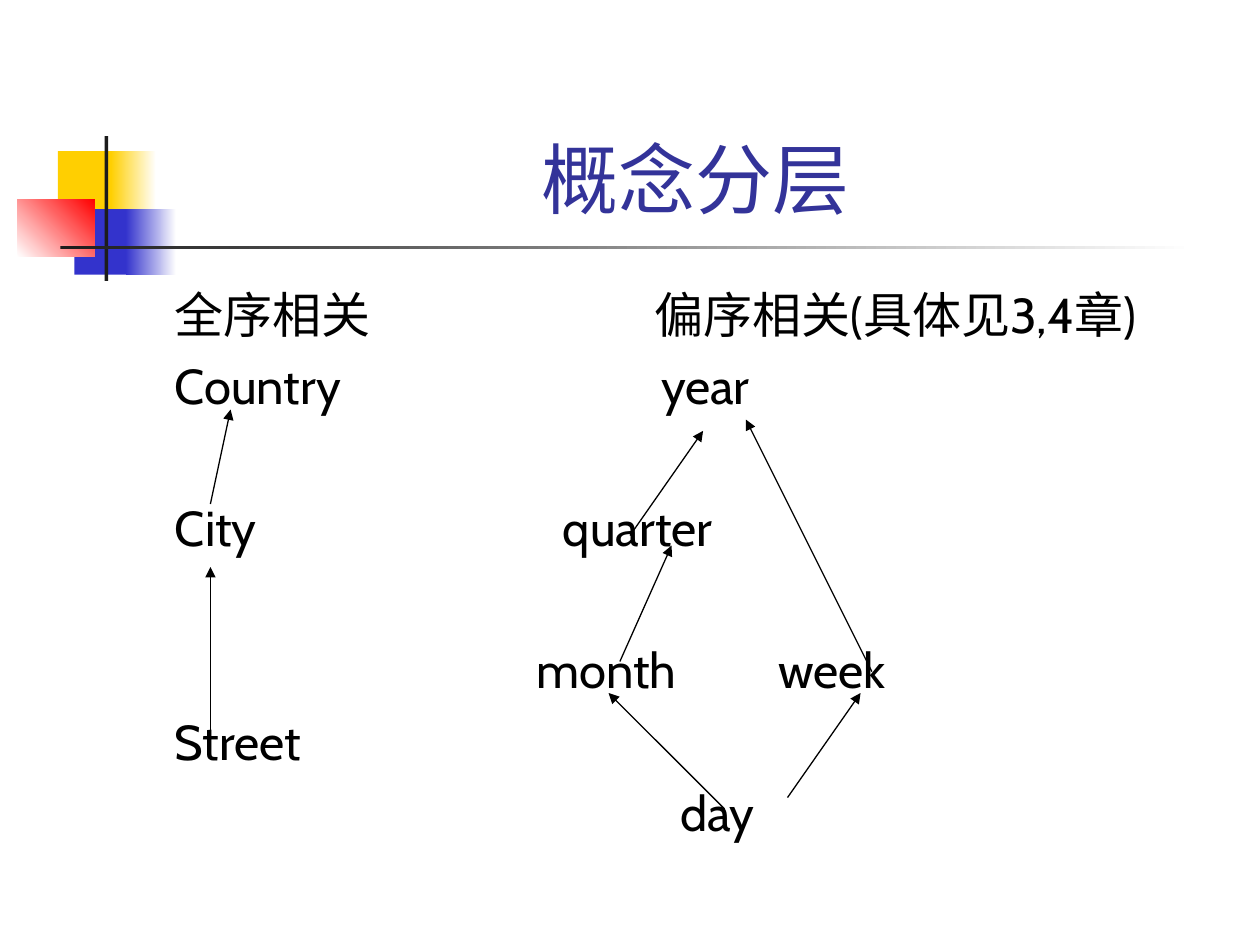
from lxml.etree import SubElement
from pptx import Presentation
from pptx.dml.color import RGBColor
from pptx.enum.shapes import MSO_CONNECTOR, MSO_SHAPE
from pptx.enum.text import MSO_ANCHOR, PP_ALIGN
from pptx.oxml.ns import qn
from pptx.util import Inches, Pt

YELLOW, BLUE, RED = "FFCF01", "3333CC", "FF0000"
DARK, WHITE, BLACK, TITLE_BLUE = "1C1C1C", "FFFFFF", "000000", "333399"


def color(value):
    return RGBColor.from_string(value)


def set_values(target, values):
    for name, value in values.items():
        setattr(target, name, value)


class SlideBuilder:
    font_name = "Cabin"
    line_width = Pt(0.75)
    space_before = 7
    row_height = 40.6

    def __init__(self, slide):
        self.slide = slide

    def format_font(self, font, size, font_color):
        set_values(font, {"name": self.font_name, "size": Pt(size), "bold": False})
        font.color.rgb = color(font_color)

    def title(self, text, box):
        shape = self.slide.shapes.title
        set_values(shape, dict(zip(("left", "top", "width", "height"), map(Inches, box))))
        frame = shape.text_frame
        set_values(frame, {"text": text, "vertical_anchor": MSO_ANCHOR.BOTTOM,
                           "word_wrap": True})
        paragraph = frame.paragraphs[0]
        paragraph.alignment = PP_ALIGN.CENTER
        self.format_font(paragraph.runs[0].font, 44, TITLE_BLUE)

    def rectangle(self, box, start, end=None, angle=0):
        shape = self.slide.shapes.add_shape(MSO_SHAPE.RECTANGLE, *map(Inches, box))
        shape.shadow.inherit = False
        shape.line.fill.background()
        if end is None:
            shape.fill.solid()
            shape.fill.fore_color.rgb = color(start)
            return
        shape.fill.gradient()
        shape.fill.gradient_angle = angle
        for stop, value in zip(shape.fill.gradient_stops, (start, end)):
            stop.color.rgb = color(value)

    def tabbed_text(self, box, rows):
        """Each row holds its text, its tab stops and the empty rows above it."""
        frame = self.slide.shapes.add_textbox(*map(Inches, box)).text_frame
        frame.word_wrap = True
        for index, (text, stops, skipped) in enumerate(rows):
            paragraph = frame.add_paragraph() if index else frame.paragraphs[0]
            paragraph.space_before = Pt(self.space_before + skipped * self.row_height)
            run = paragraph.add_run()
            run.text = text
            self.format_font(run.font, 28, BLACK)
            if stops:
                tab_list = SubElement(paragraph._p.get_or_add_pPr(), qn("a:tabLst"))
                for stop in stops:
                    SubElement(tab_list, qn("a:tab"), pos=str(Inches(stop)), algn="l")

    def arrow(self, start, end):
        connector = self.slide.shapes.add_connector(
            MSO_CONNECTOR.STRAIGHT, *map(Inches, start + end))
        connector.line.width = self.line_width
        connector.line.color.rgb = color(BLACK)
        SubElement(connector.line._get_or_add_ln(), qn("a:tailEnd"), type="triangle")
        SubElement(connector._element.spPr, qn("a:effectLst"))


def main():
    presentation = Presentation()
    presentation.slide_width, presentation.slide_height = Inches(10), Inches(7.5)
    builder = SlideBuilder(presentation.slides.add_slide(presentation.slide_layouts[5]))

    # Decoration: coloured squares with a crossing pair of bars
    for decoration in (
        ((0.46, 1.2, 0.48, 0.52), YELLOW),
        ((0.88, 1.2, 0.36, 0.52), YELLOW, WHITE),
        ((0.59, 1.66, 0.46, 0.52), BLUE),
        ((1, 1.66, 0.4, 0.52), BLUE, WHITE),
        ((0.14, 1.58, 0.61, 0.46), WHITE, RED, 45),
        ((0.83, 1.08, 0.03, 1.15), DARK),
        ((0.48, 1.95, 9, 0.03), DARK, WHITE),
    ):
        builder.rectangle(*decoration)

    builder.title("概念分层", (1.26, 0.23, 8.52, 1.6))

    # Total order on the left, partial order on the right
    builder.tabbed_text((1.29, 2.21, 8.5, 4.5), (
        ("全序相关\t偏序相关(具体见3,4章)", (3.81,), 0),
        ("Country\tyear", (3.86,), 0),
        ("City\tquarter", (3.08,), 1),
        ("\tmonth\tweek", (2.87, 4.79), 1),
        ("Street", (), 0),
        ("\tday", (4.01,), 0),
    ))

    # Arrows from each level to the one above
    for start, end in (
        ((1.67, 6), (1.67, 4.5)),        # Street to City
        ((1.67, 4), (1.83, 3.25)),       # City to Country
        ((5, 4.25), (5.58, 3.42)),       # quarter to year
        ((4.92, 5.25), (5.33, 4.33)),    # month to quarter
        ((5.75, 6.42), (4.83, 5.5)),     # day to month
        ((6.25, 6.33), (6.83, 5.5)),     # day to week
        ((6.92, 5.33), (5.92, 3.33)),    # week to year
    ):
        builder.arrow(start, end)

    presentation.save("out.pptx")


if __name__ == "__main__":
    main()
